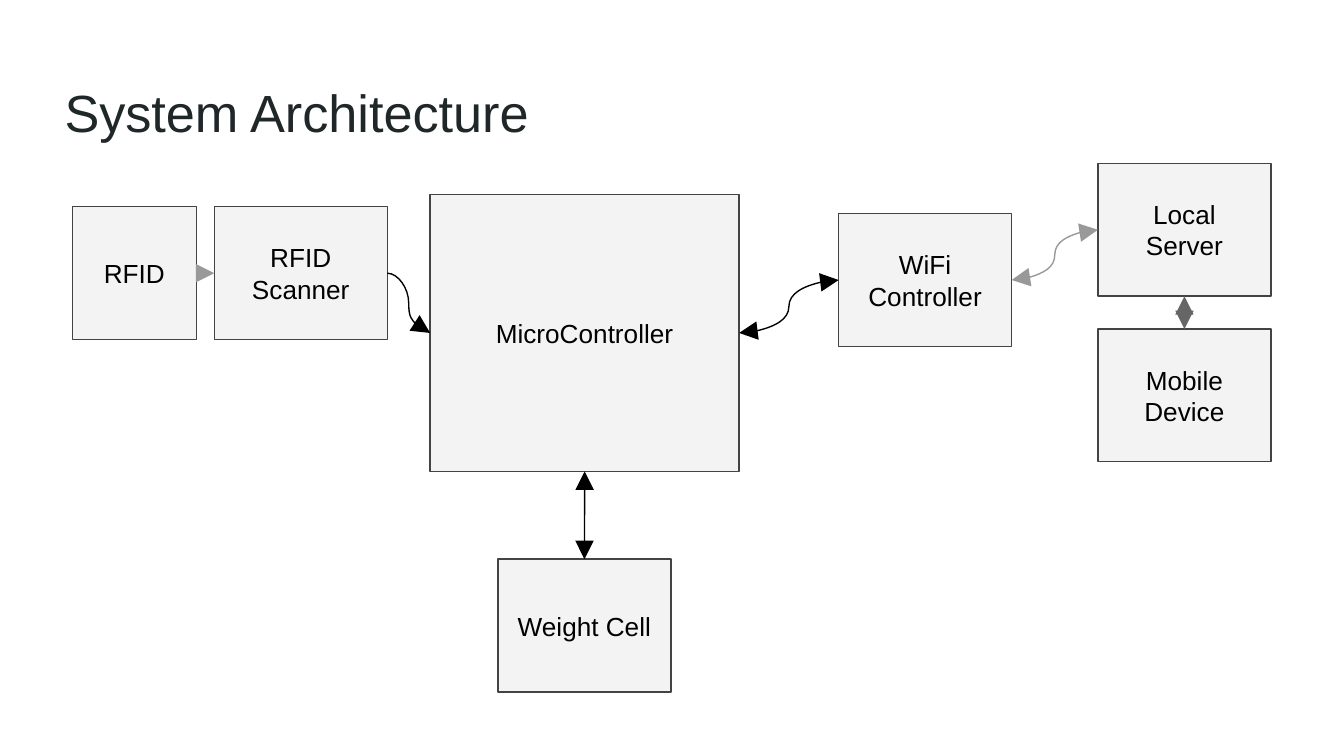
from lxml import etree
from pptx import Presentation, util as u
from pptx.dml.color import RGBColor
from pptx.enum import shapes, text
from pptx.oxml import ns

TOP, LEFT, BOTTOM, RIGHT = range(4)
STRAIGHT = shapes.MSO_CONNECTOR.STRAIGHT
CURVE = shapes.MSO_CONNECTOR.CURVE


def color(hex_value):
    return RGBColor.from_string(hex_value)


class Diagram:
    font = "Arial"
    fill, border, ink = "F3F3F3", "434343", "000000"
    line_width = u.Pt(0.75)
    inset = u.Cm(0.25)
    box_size = (3.27, 2.51)

    def __init__(self, slide):
        self.slide = slide

    def add_lines(self, shape, lines, size, ink, align, anchor):
        frame = shape.text_frame
        frame.word_wrap = True
        frame.vertical_anchor = anchor
        frame.margin_left = frame.margin_right = self.inset
        frame.margin_top = frame.margin_bottom = self.inset
        for i, line in enumerate(lines):
            paragraph = frame.add_paragraph() if i else frame.paragraphs[0]
            paragraph.alignment = align
            run = paragraph.add_run()
            run.text = line
            run.font.name = self.font
            run.font.size = u.Pt(size)
            run.font.color.rgb = color(ink)

    def title(self, words, x, y, width, height):
        heading = self.slide.shapes.add_textbox(u.Cm(x), u.Cm(y), u.Cm(width), u.Cm(height))
        self.add_lines(heading, [words], 28, "202729", text.PP_ALIGN.LEFT, text.MSO_ANCHOR.BOTTOM)

    def box(self, lines, x, y, size=box_size):
        width, height = size
        part = self.slide.shapes.add_shape(
            shapes.MSO_SHAPE.RECTANGLE, u.Cm(x), u.Cm(y), u.Cm(width), u.Cm(height))
        part.shadow.inherit = False
        part.fill.solid()
        part.fill.fore_color.rgb = color(self.fill)
        part.line.color.rgb = color(self.border)
        part.line.width = self.line_width
        self.add_lines(part, lines, 14, self.ink, text.PP_ALIGN.CENTER, text.MSO_ANCHOR.MIDDLE)
        return part

    def link(self, kind, start, start_side, end, end_side, ink, both_ways=True):
        arrow = self.slide.shapes.add_connector(kind, 0, 0, 0, 0)
        arrow.begin_connect(start, start_side)
        arrow.end_connect(end, end_side)
        arrow.line.color.rgb = color(ink)
        arrow.line.width = self.line_width
        properties = arrow._element.spPr
        outline = properties.find(ns.qn("a:ln"))
        for tag in ("a:headEnd", "a:tailEnd") if both_ways else ("a:tailEnd",):
            etree.SubElement(outline, ns.qn(tag), type="triangle", w="lg", len="lg")
        etree.SubElement(properties, ns.qn("a:effectLst"))


def main():
    deck = Presentation()
    deck.slide_width, deck.slide_height = u.Cm(25.4), u.Cm(14.29)
    diagram = Diagram(deck.slides.add_slide(deck.slide_layouts[6]))

    # Title
    diagram.title("System Architecture", 0.97, 0.84, 16.84, 2.11)

    # Components
    tag = diagram.box(["RFID"], 1.37, 3.91, (2.34, 2.51))
    scanner = diagram.box(["RFID", "Scanner"], 4.05, 3.91)
    wifi = diagram.box(["WiFi Controller"], 15.85, 4.04)
    micro = diagram.box(["MicroController"], 8.13, 3.68, (5.84, 5.23))
    server = diagram.box(["Local Server"], 20.75, 3.09)
    device = diagram.box(["Mobile Device"], 20.75, 6.22)
    weight = diagram.box(["Weight Cell"], 9.41, 10.57)

    # Data flow
    diagram.link(STRAIGHT, tag, RIGHT, scanner, LEFT, "999999", both_ways=False)
    diagram.link(CURVE, scanner, RIGHT, micro, LEFT, "000000", both_ways=False)
    diagram.link(CURVE, micro, RIGHT, wifi, LEFT, "000000")
    diagram.link(CURVE, wifi, RIGHT, server, LEFT, "999999")
    diagram.link(STRAIGHT, server, BOTTOM, device, TOP, "666666")
    diagram.link(STRAIGHT, weight, TOP, micro, BOTTOM, "000000")

    deck.save("out.pptx")


if __name__ == "__main__":
    main()
